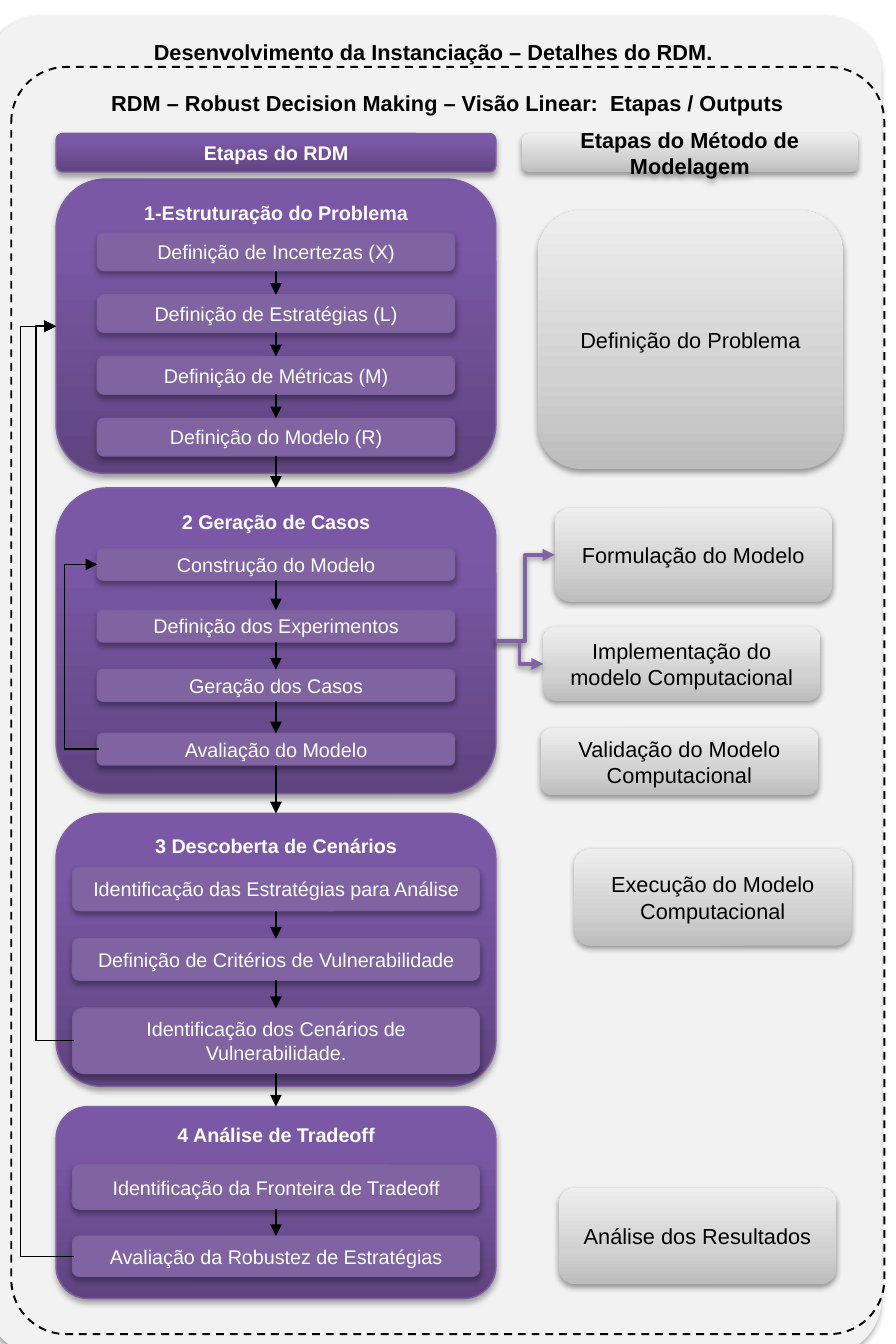
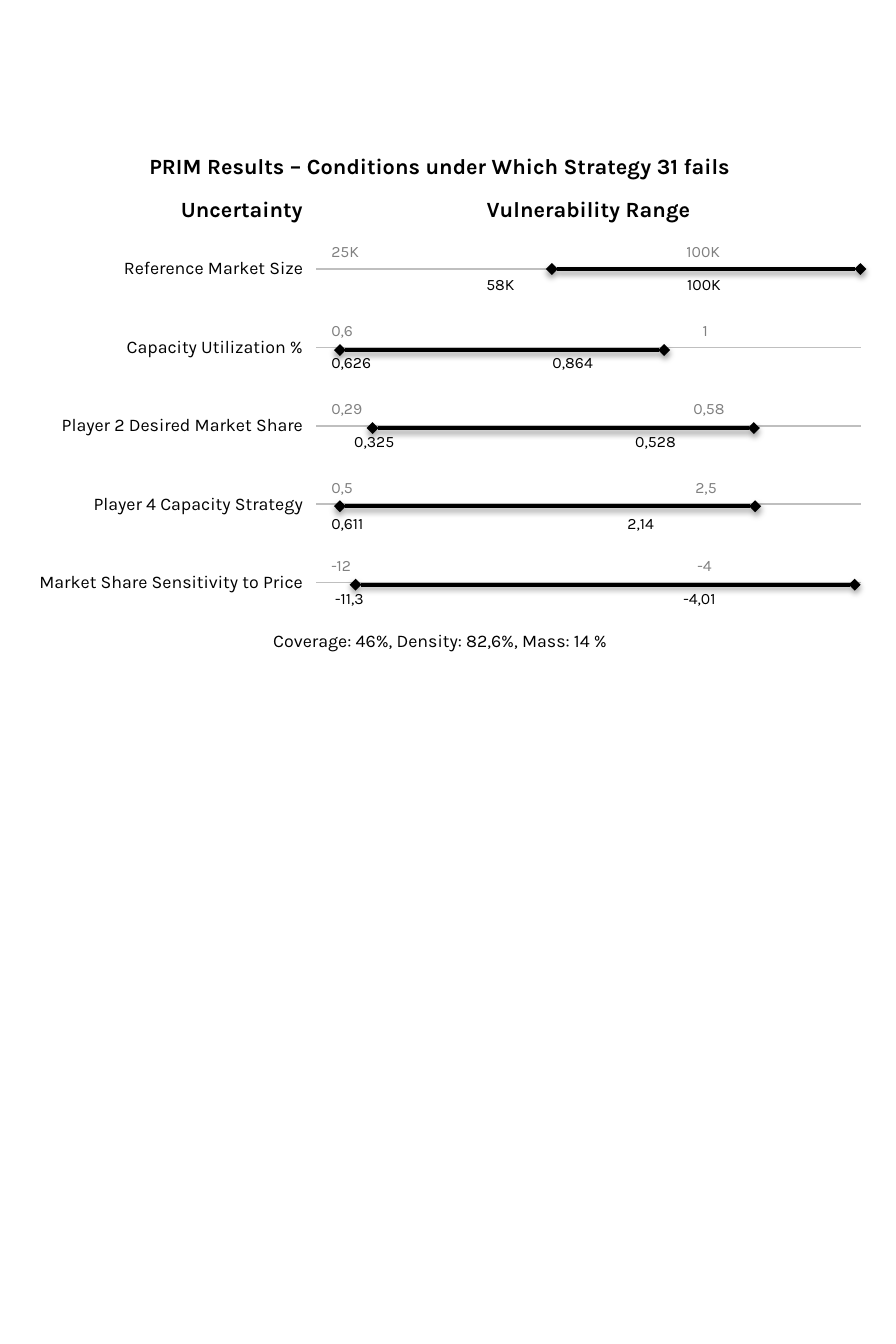
from lxml.etree import SubElement
from pptx import Presentation
from pptx.dml.color import RGBColor
from pptx.enum.dml import MSO_LINE
from pptx.enum.shapes import MSO_CONNECTOR, MSO_SHAPE
from pptx.enum.text import MSO_ANCHOR, PP_ALIGN
from pptx.oxml.ns import qn
from pptx.util import Pt

BLACK, WHITE, PANEL = "000000", "FFFFFF", "F2F2F2"
PURPLE, PURPLE_EDGE = "8064A2", "7D60A0"
RULE, MUTED = "BFBFBF", "808080"
PURPLE_GRADIENT = [(0, "5F4480"), (80, "7B58A6"), (100, "7C57A8")]
GREY_GRADIENT = [(0, "BDBDBD"), (35, "D1D1D1"), (100, "EEEEEE")]
# opacity in percent, distance in points
DEEP_SHADOW, SOFT_SHADOW = (35, 1.8), (38, 1.6)

# Slide 1: stages of the process, centred on one vertical axis
AXIS = 139.7
PHASE_W = 222.6
PHASES = [
    # title, top, height, step width, steps (text, top, height)
    ("1-Estruturação do Problema", 90.7, 149, 180.7, [
        ("Definição de Incertezas (X)", 118, 19),
        ("Definição de Estratégias (L)", 149.3, 19),
        ("Definição de Métricas (M)", 180.5, 19),
        ("Definição do Modelo (R)", 211.8, 19)]),
    ("2 Geração de Casos", 247, 154.8, 180.7, [
        ("Construção do Modelo", 277.8, 15.9),
        ("Definição dos Experimentos", 309, 15.9),
        ("Geração dos Casos", 339, 15.9),
        ("Avaliação do Modelo", 371.3, 15.9)]),
    ("3 Descoberta de Cenários", 411.8, 138.2, 206, [
        ("Identificação das Estratégias para Análise", 439, 22),
        ("Definição de Critérios de Vulnerabilidade", 475.2, 21),
        ("Identificação dos Cenários de Vulnerabilidade.", 510.4, 33)]),
    ("4 Análise de Tradeoff", 560.2, 97.2, 206, [
        ("Identificação da Fronteira de Tradeoff", 589.8, 22.4),
        ("Avaliação da Robustez de Estratégias", 625.8, 20.4)]),
]
MODEL_STEPS = [
    # text, left, top, width, height
    ("Definição do Problema", 272.2, 106.4, 154.8, 131),
    ("Formulação do Modelo", 280.8, 257.2, 140.4, 47.5),
    ("Implementação do modelo Computacional", 275, 317.4, 140.4, 37.4),
    ("Validação do Modelo Computacional", 273.8, 368.6, 140.4, 34),
    ("Execução do Modelo Computacional", 290.7, 429.8, 140.4, 49),
    ("Análise dos Resultados", 283, 601.2, 140.4, 49),
]

# Slide 2: table rows and the vulnerability bars drawn over them
TITLE = "PRIM Results – Conditions under Which Strategy 31 fails"
HEADINGS = ("Uncertainty", "Vulnerability Range")
SUMMARY = "Coverage: 46%, Density: 82,6%, Mass: 14 %"
TABLE_LEFT, TABLE_TOP = 10, 73.4
COLUMNS = (150.5, 275)
HEAD_H, ROW_H = 21.5, 19.85
RANGES = [
    # name, full range, vulnerable range (text, offset), bar (from x, to x, y)
    ("Reference Market Size", [("25K", 0), ("100K", 179.8)],
     [("58K", 78.5), ("100K", 180.2)], (279.4, 435.6, 136.2)),
    ("Capacity Utilization %", [("0,6", 0), ("1", 188)],
     [("0,626", 0), ("0,864", 112)], (172.1, 336.2, 177.2)),
    ("Player 2 Desired Market Share", [("0,29", 0), ("0,58", 183.3)],
     [("0,325", 11.6), ("0,528", 153.9)], (188.6, 381.6, 216.7)),
    ("Player 4 Capacity Strategy", [("0,5", 0), ("2,5", 184.3)],
     [("0,611", 0), ("2,14", 149.9)], (172.1, 382.3, 256.3)),
    ("Market Share Sensitivity to Price", [("-12", 0), ("-4", 185.3)],
     [("-11,3", 2), ("-4,01", 178.2)], (180, 432.7, 296)),
]
LOW_ANCHORED = "Player 4 Capacity Strategy"


def rgb(value):
    return RGBColor.from_string(value)


def add_xml(parent, tag, **attrs):
    el = SubElement(parent, qn(tag))
    for name, value in attrs.items():
        el.set(name, str(value))
    return el


def add_color(parent, value):
    return add_xml(parent, "a:srgbClr", val=value)


def add_shadow(effects, shadow):
    opacity, distance = shadow
    el = add_xml(effects, "a:outerShdw", blurRad=Pt(3.1), dist=Pt(distance),
                 dir=5400000, rotWithShape=0)
    add_xml(add_color(el, BLACK), "a:alpha", val=opacity * 1000)


def write(p, text, font, size, color, bold=False, align=PP_ALIGN.CENTER):
    p.alignment = align
    r = p.add_run()
    r.text = text
    r.font.name, r.font.size, r.font.bold = font, Pt(size), bold
    r.font.color.rgb = rgb(color)


def add_box(slide, text, left, top, width, height, fill=None, edge=None,
            shadow=None, size=10, color=WHITE, bold=False,
            anchor=MSO_ANCHOR.MIDDLE, corner=None):
    """Rounded box; fill is a colour, a list of gradient stops or None."""
    sp = slide.shapes.add_shape(MSO_SHAPE.ROUNDED_RECTANGLE, Pt(left), Pt(top),
                                Pt(width), Pt(height))
    if corner is not None:
        sp.adjustments[0] = corner
    if fill is None:
        sp.fill.background()
    elif isinstance(fill, str):
        sp.fill.solid()
        sp.fill.fore_color.rgb = rgb(fill)
    else:
        sp.fill.gradient()
        sp.fill.gradient_angle = 90
        stops = sp._element.spPr.find(".//" + qn("a:gsLst"))
        for gs in list(stops):
            stops.remove(gs)
        for pos, value in fill:
            add_color(add_xml(stops, "a:gs", pos=pos * 1000), value)
    if edge:
        sp.line.color.rgb = rgb(edge)
        sp.line.width = Pt(0.75)
    else:
        sp.line.fill.background()
    sp.shadow.inherit = False
    if shadow:
        add_shadow(sp._element.spPr.find(qn("a:effectLst")), shadow)
    tf = sp.text_frame
    tf.word_wrap = True
    tf.vertical_anchor = anchor
    write(tf.paragraphs[0], text, "Arial", size, color, bold)
    return sp


def style_line(line, color=BLACK, width=0.75, head=None, tail="triangle", shadow=None):
    line.line.color.rgb = rgb(color)
    line.line.width = Pt(width)
    ln = line.line._get_or_add_ln()
    if head:
        add_xml(ln, "a:headEnd", type=head)
    add_xml(ln, "a:tailEnd", type=tail)
    effects = add_xml(line._element.spPr, "a:effectLst")
    if shadow:
        add_shadow(effects, shadow)


def add_arrow_down(slide, upper, lower):
    line = slide.shapes.add_connector(MSO_CONNECTOR.STRAIGHT, 0, 0, 0, 0)
    line.begin_connect(upper, 2)
    line.end_connect(lower, 0)
    style_line(line)


def add_elbow(slide, x1, y1, x2, y2, lane=None, **style):
    """Bent arrow whose vertical part runs at x = lane (default: halfway)."""
    line = slide.shapes.add_connector(MSO_CONNECTOR.ELBOW, x1, y1, x2, y2)
    if lane is not None:
        guides = line._element.spPr.find(".//" + qn("a:avLst"))
        if guides is None:
            guides = add_xml(line._element.spPr.find(qn("a:prstGeom")), "a:avLst")
        bend = round((lane - x1) / (x2 - x1) * 100000)
        add_xml(guides, "a:gd", name="adj1", fmla=f"val {bend}")
    style_line(line, **style)


def middle(sp):
    return sp.top + sp.height // 2


def build_process(slide):
    purple = dict(edge=PURPLE_EDGE, shadow=DEEP_SHADOW)
    grey = dict(fill=GREY_GRADIENT, shadow=SOFT_SHADOW, size=11, color=BLACK)
    frame = dict(size=11, color=BLACK, bold=True, anchor=MSO_ANCHOR.TOP, corner=0.063)
    phase_left = AXIS - PHASE_W / 2

    add_box(slide, "Desenvolvimento da Instanciação – Detalhes do RDM.",
            -7.2, 7.9, 453.6, 678.2, fill=PANEL, shadow=DEEP_SHADOW, **frame)
    cards = [add_box(slide, title, phase_left, top, PHASE_W, height,
                     fill=PURPLE_GRADIENT, bold=True, anchor=MSO_ANCHOR.TOP, **purple)
             for title, top, height, _, _ in PHASES]
    dashed = add_box(slide, "RDM – Robust Decision Making – Visão Linear:  Etapas / Outputs",
                     5.7, 33.9, 442, 641.5, edge=BLACK, **frame)
    dashed.line.width = Pt(1)
    dashed.line.dash_style = MSO_LINE.DASH

    steps = [[add_box(slide, text, AXIS - width / 2, top, width, height,
                      fill=PURPLE, **purple) for text, top, height in items]
             for _, _, _, width, items in PHASES]
    for i, group in enumerate(steps):
        for upper, lower in zip(group, group[1:] + cards[i + 1:i + 2]):
            add_arrow_down(slide, upper, lower)

    add_box(slide, "Etapas do RDM", phase_left, 67.6, PHASE_W, 19.5,
            fill=PURPLE_GRADIENT, bold=True, **purple)
    add_box(slide, "Etapas do Método de Modelagem", 264.3, 67.6, 170, 19.5,
            bold=True, **grey)
    models = [add_box(slide, *step, **grey) for step in MODEL_STEPS]

    feedback = [(steps[2][-1], cards[0], 18.2), (steps[3][-1], cards[0], 10.3),
                (steps[1][-1], steps[1][0], 32.6)]
    for source, target, lane in feedback:
        add_elbow(slide, source.left + Pt(1), middle(source),
                  target.left, middle(target), Pt(lane))
    cases = cards[1]
    for model in models[1:3]:
        add_elbow(slide, cases.left + cases.width, middle(cases), model.left,
                  middle(model), color=PURPLE, width=2, shadow=SOFT_SHADOW)


def fill_cell(cell, text, size, anchor, align, color=BLACK, bold=False):
    cell.vertical_anchor = anchor
    write(cell.text_frame.paragraphs[0], text, "Karla", size, color, bold, align)


def fill_range(cell, values, anchor, color, border):
    """Values at tab stops, with a rule on the border side (a:lnT or a:lnB)."""
    p = cell.text_frame.paragraphs[0]
    tabs = add_xml(p._p.get_or_add_pPr(), "a:tabLst")
    text = ""
    for value, offset in values:
        if offset:
            add_xml(tabs, "a:tab", pos=Pt(offset), algn="l")
            text += "\t"
        text += value
    fill_cell(cell, text, 8, anchor, PP_ALIGN.LEFT, color)
    ln = add_xml(cell._tc.get_or_add_tcPr(), border, w=Pt(1))
    add_color(add_xml(ln, "a:solidFill"), RULE)


def build_ranges(slide):
    bottom, center = MSO_ANCHOR.BOTTOM, MSO_ANCHOR.MIDDLE
    heights = [HEAD_H] * 2 + [ROW_H] * (2 * len(RANGES) + 1)
    table = slide.shapes.add_table(len(heights), 2, Pt(TABLE_LEFT), Pt(TABLE_TOP),
                                   Pt(sum(COLUMNS)), Pt(sum(heights))).table
    table.first_row = table.horz_banding = False
    for column, width in zip(table.columns, COLUMNS):
        column.width = Pt(width)
    for row, height in zip(table.rows, heights):
        row.height = Pt(height)
    last = len(heights) - 1
    for row in (0, last):
        table.cell(row, 0).merge(table.cell(row, 1))
    fill_cell(table.cell(0, 0), TITLE, 11, bottom, PP_ALIGN.CENTER, bold=True)
    for col, align in enumerate((PP_ALIGN.RIGHT, PP_ALIGN.CENTER)):
        fill_cell(table.cell(1, col), HEADINGS[col], 11, bottom, align, bold=True)
    for i, (name, full, vulnerable, _) in enumerate(RANGES):
        row = 2 + 2 * i
        label = table.cell(row, 0)
        label.merge(table.cell(row + 1, 0))
        fill_cell(label, name, 9, center, PP_ALIGN.RIGHT)
        fill_range(table.cell(row, 1), full, bottom, MUTED, "a:lnB")
        anchor = center if name == LOW_ANCHORED else MSO_ANCHOR.TOP
        fill_range(table.cell(row + 1, 1), vulnerable, anchor, BLACK, "a:lnT")
    fill_cell(table.cell(last, 0), SUMMARY, 9, center, PP_ALIGN.CENTER)
    for cell in table.iter_cells():
        cell.fill.background()

    for *_, (x1, x2, y) in RANGES:
        bar = slide.shapes.add_connector(MSO_CONNECTOR.STRAIGHT, Pt(x1), Pt(y), Pt(x2), Pt(y))
        style_line(bar, width=2, head="diamond", tail="diamond", shadow=SOFT_SHADOW)


def main():
    prs = Presentation()
    prs.slide_width, prs.slide_height = Pt(453.6), Pt(680.4)
    for build in (build_process, build_ranges):
        build(prs.slides.add_slide(prs.slide_layouts[6]))
    prs.save("out.pptx")


if __name__ == "__main__":
    main()
